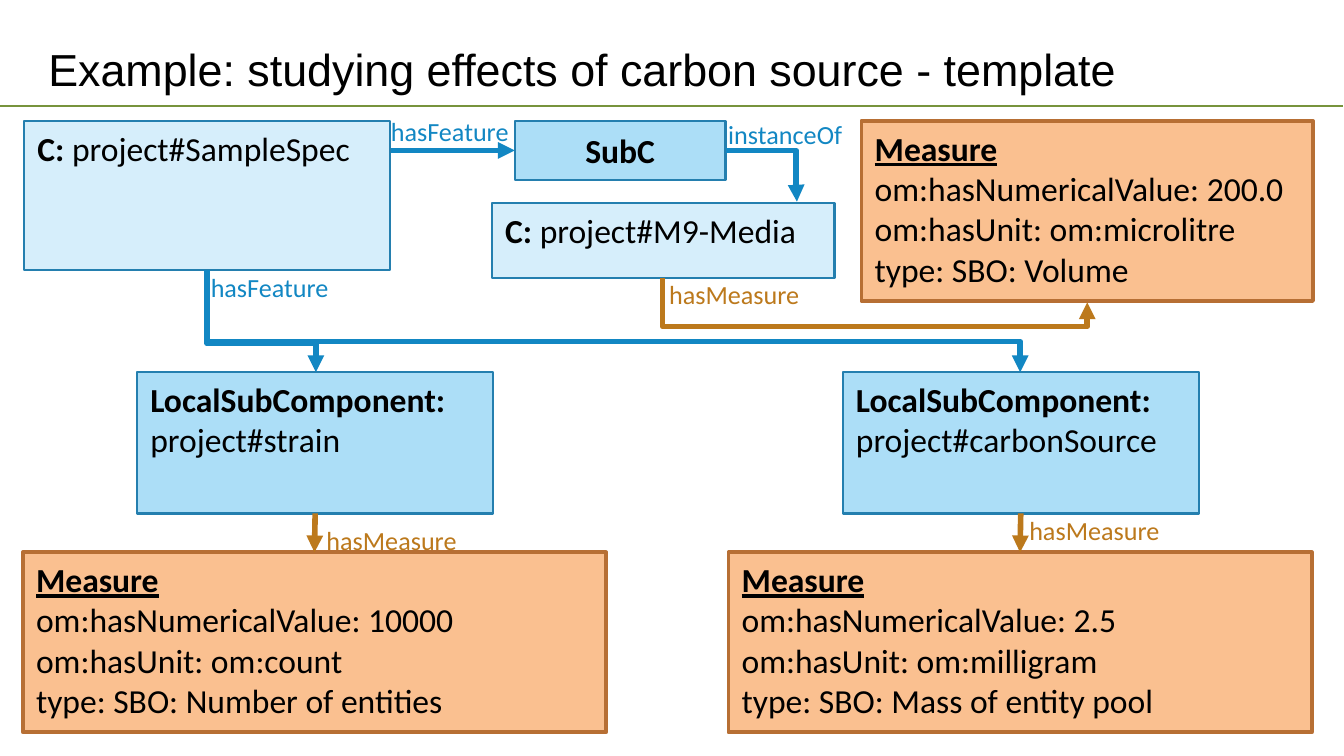
from lxml import etree
from pptx import Presentation
from pptx.dml.color import RGBColor
from pptx.enum.shapes import MSO_CONNECTOR, MSO_SHAPE
from pptx.enum.text import MSO_ANCHOR, MSO_AUTO_SIZE, PP_ALIGN
from pptx.oxml.ns import qn
from pptx.util import Inches, Pt

STRAIGHT, ELBOW = MSO_CONNECTOR.STRAIGHT, MSO_CONNECTOR.ELBOW
RECTANGLE = MSO_SHAPE.RECTANGLE
TOP, MIDDLE = MSO_ANCHOR.TOP, MSO_ANCHOR.MIDDLE
LEFT, CENTER = PP_ALIGN.LEFT, PP_ALIGN.CENTER
FIT_SHAPE, FIT_NONE = MSO_AUTO_SIZE.SHAPE_TO_FIT_TEXT, MSO_AUTO_SIZE.NONE
SITE_TOP, SITE_LEFT, SITE_BOTTOM, SITE_RIGHT = range(4)

BLACK, BLUE, BROWN = "000000", "1287C3", "BC791C"
PALE_BLUE, SKY_BLUE, BLUE_EDGE = "D6EEFB", "ACDEF7", "247FAF"
ORANGE, ORANGE_EDGE, RULE_GREEN = "FAC090", "B76F34", "77933C"


def color(hex_value):
    return RGBColor.from_string(hex_value)


def style_run(run, size, hex_value, font="Calibri", bold=False, underline=False):
    run.font.name, run.font.size = font, Pt(size)
    run.font.color.rgb = color(hex_value)
    run.font.bold, run.font.underline = bold, underline


def add_header(slide, box, text):
    """Title placeholder with a full-width rule at its lower edge."""
    left, top, width, height = box
    title = slide.shapes.title
    title.left, title.top = Inches(left), Inches(top)
    title.width, title.height = Inches(width), Inches(height)
    title.text_frame.text = text
    title.text_frame.auto_size = FIT_NONE
    title.text_frame.vertical_anchor = MIDDLE
    title.text_frame.paragraphs[0].alignment = LEFT
    style_run(title.text_frame.paragraphs[0].runs[0], 24, BLACK, "Arial")
    add_line(slide, (0, top + height), (9.99, top + height), RULE_GREEN, 1, False)


def add_node(slide, box, paragraphs, fill, edge=BLUE_EDGE, edge_width=1.25,
             anchor=TOP, align=LEFT, underline=False):
    """Rectangle whose paragraphs are lists of runs; the first run is bold."""
    node = slide.shapes.add_shape(RECTANGLE, *map(Inches, box))
    node.shadow.inherit = False
    node.fill.solid()
    node.fill.fore_color.rgb = color(fill)
    node.line.color.rgb = color(edge)
    node.line.width = Pt(edge_width)
    frame = node.text_frame
    frame.word_wrap, frame.vertical_anchor = True, anchor
    for i, runs in enumerate(paragraphs):
        paragraph = frame.add_paragraph() if i else frame.paragraphs[0]
        paragraph.alignment = align
        for j, text in enumerate(runs):
            run = paragraph.add_run()
            run.text = text
            heading = i == j == 0
            style_run(run, 18, BLACK, bold=heading, underline=heading and underline)
    return node


def add_measure(slide, left, top, width, value, unit, kind):
    lines = ["Measure", f"om:hasNumericalValue: {value}",
             f"om:hasUnit: om:{unit}", f"type: SBO: {kind}"]
    return add_node(slide, (left, top, width, 1.34), [[line] for line in lines],
                    ORANGE, ORANGE_EDGE, 2, underline=True)


def add_local_component(slide, left, name):
    return add_node(slide, (left, 2.77, 2.65, 1.05),
                    [["LocalSubComponent:"], [name]], SKY_BLUE)


def add_line(slide, start, end, hex_value, width=3, arrow=True, kind=STRAIGHT,
             source=None, target=None):
    """Connector; source and target are optional (shape, site) pairs."""
    line = slide.shapes.add_connector(kind, *map(Inches, start + end))
    line.line.color.rgb = color(hex_value)
    line.line.width = Pt(width)
    if arrow:
        outline = line.element.spPr.find(qn("a:ln"))
        etree.SubElement(outline, qn("a:tailEnd")).set("type", "triangle")
    etree.SubElement(line.element.spPr, qn("a:effectLst"))
    if source:
        line.begin_connect(*source)
    if target:
        line.end_connect(*target)
    return line


def add_elbow(slide, start, end, hex_value, bend, source, target=None, vertical=True):
    """Right-angled arrow going down and right; bend is its share of the run."""
    elbow = add_line(slide, start, end, hex_value, kind=ELBOW,
                     source=source, target=target)
    (x1, y1), (x2, y2) = start, end
    width, height = x2 - x1, y2 - y1
    if vertical:
        # A quarter turn plus a flip makes the first leg run downwards
        width, height = height, width
        frame = elbow.element.spPr.find(qn("a:xfrm"))
        frame.set("rot", "16200000")
        frame.set("flipH", "1")
    elbow.left = Inches((x1 + x2 - width) / 2)
    elbow.top = Inches((y1 + y2 - height) / 2)
    elbow.width, elbow.height = Inches(width), Inches(height)
    geometry = elbow.element.spPr.find(qn("a:prstGeom"))
    guides = geometry.find(qn("a:avLst"))
    if guides is None:
        guides = etree.SubElement(geometry, qn("a:avLst"))
    guide = etree.SubElement(guides, qn("a:gd"))
    guide.set("name", "adj1")
    guide.set("fmla", f"val {round(bend * 100000)}")


def add_label(slide, left, top, width, text, hex_value):
    label = slide.shapes.add_textbox(*map(Inches, (left, top, width, 0.34)))
    label.text_frame.text = text
    label.text_frame.word_wrap = False
    label.text_frame.auto_size = FIT_SHAPE
    style_run(label.text_frame.paragraphs[0].runs[0], 14, hex_value)


def add_diagram(slide):
    # Sample, its sub-component and the medium
    sample = add_node(slide, (0.18, 0.9, 2.72, 1.11),
                      [["C: ", "project#SampleSpec"]], PALE_BLUE)
    sub_component = add_node(slide, (3.83, 0.9, 1.57, 0.44), [["SubC"]], SKY_BLUE,
                             anchor=MIDDLE, align=CENTER)
    media = add_node(slide, (3.66, 1.51, 2.55, 0.56),
                     [["C: ", "project#M9-Media"]], PALE_BLUE)

    # Local sub-components and measures
    strain = add_local_component(slide, 1.02, "project#strain")
    carbon = add_local_component(slide, 6.27, "project#carbonSource")
    volume = add_measure(slide, 6.41, 0.9, 3.36, "200.0", "microlitre", "Volume")
    count = add_measure(slide, 0.17, 4.11, 4.34, "10000", "count",
                        "Number of entities")
    mass = add_measure(slide, 5.42, 4.11, 4.34, "2.5", "milligram",
                       "Mass of entity pool")

    # Feature and instance arrows; the first starts behind the sample
    feature = add_line(slide, (2.85, 1.12), (3.83, 1.12), BLUE,
                       target=(sub_component, SITE_LEFT))
    sample.element.addprevious(feature.element)
    add_elbow(slide, (5.4, 1.12), (5.93, 1.5), BLUE, 0.99,
              (sub_component, SITE_RIGHT), vertical=False)
    for component, x, bend in ((strain, 2.35, 0.72), (carbon, 7.59, 0.7)):
        add_elbow(slide, (1.54, 2.01), (x, 2.77), BLUE, bend,
                  (sample, SITE_BOTTOM), (component, SITE_TOP))

    # Measure arrows
    add_elbow(slide, (4.93, 2.07), (8.09, 2.25), BROWN, 2,
              (media, SITE_BOTTOM), (volume, SITE_BOTTOM))
    for component, measure, x in ((strain, count, 2.34), (carbon, mass, 7.59)):
        add_line(slide, (x, 3.82), (x, 4.11), BROWN,
                 source=(component, SITE_BOTTOM), target=(measure, SITE_TOP))

    # Arrow labels
    for left, top in ((2.81, 0.81), (1.47, 1.97)):
        add_label(slide, left, top, 1.14, "hasFeature", BLUE)
    add_label(slide, 5.32, 0.83, 1.09, "instanceOf", BLUE)
    for left, top in ((4.88, 2.02), (2.33, 3.85), (7.56, 3.78)):
        add_label(slide, left, top, 1.18, "hasMeasure", BROWN)


def main():
    deck = Presentation()
    deck.slide_width = Inches(10)
    deck.slide_height = deck.slide_width * 9 // 16
    slide = deck.slides.add_slide(deck.slide_layouts[5])
    add_header(slide, (0.26, 0.23, 9, 0.56),
               "Example: studying effects of carbon source - template")
    add_diagram(slide)
    deck.save("out.pptx")


if __name__ == "__main__":
    main()
